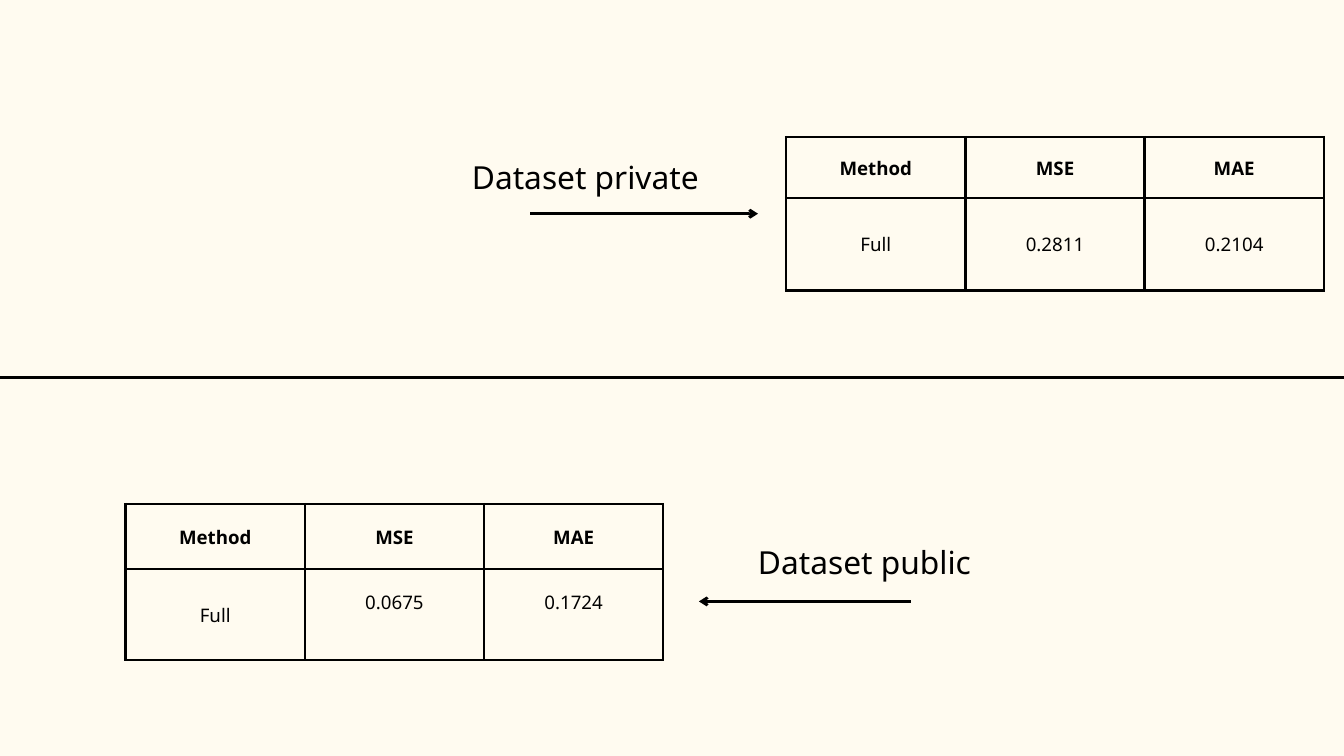
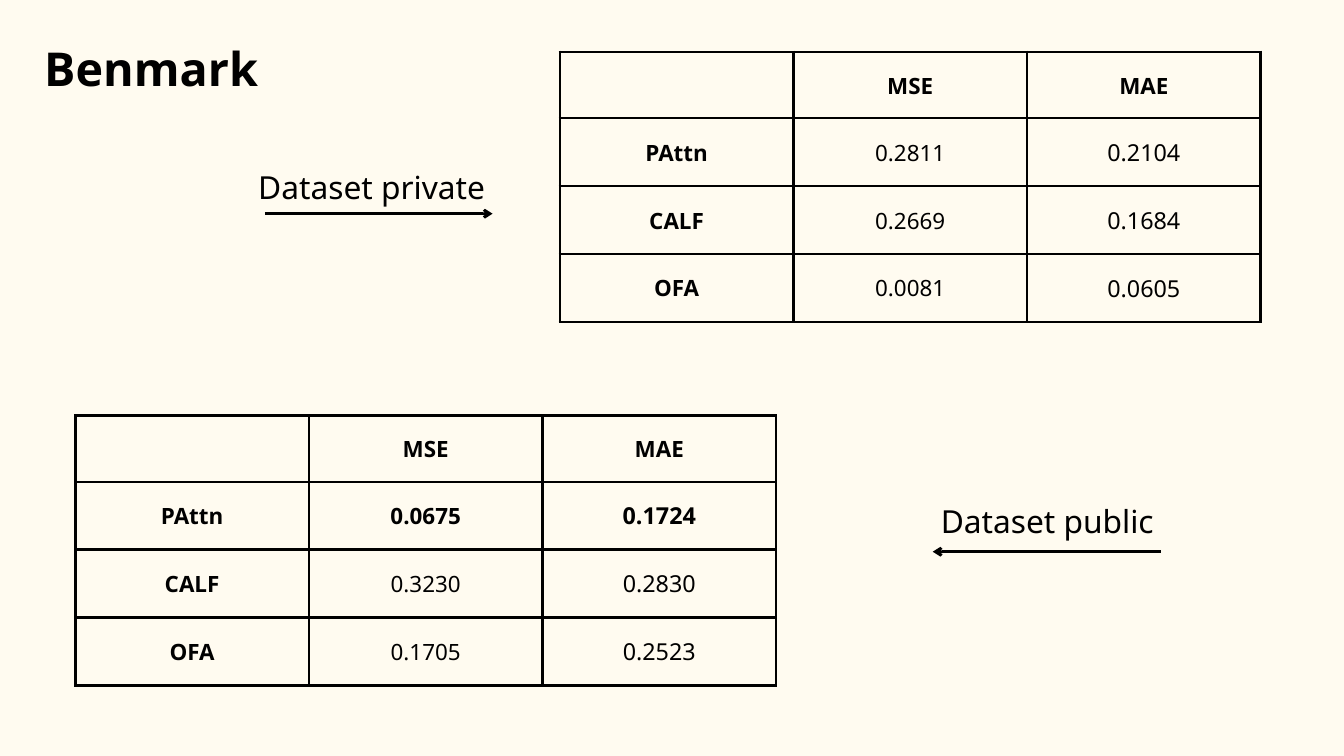
from dataclasses import dataclass

from pptx import Presentation
from pptx.dml.color import RGBColor
from pptx.enum.shapes import MSO_CONNECTOR
from pptx.enum.text import MSO_ANCHOR as Anchor, MSO_AUTO_SIZE as AutoSize, PP_ALIGN as Align
from pptx.oxml import parse_xml
from pptx.oxml.ns import nsdecls, qn
from pptx.oxml.xmlchemy import OxmlElement
from pptx.slide import Slide
from pptx.text.text import TextFrame
from pptx.util import Inches, Pt

FONT = "Noto Sans"
INK = "000000"
PAPER = "FFFBF0"
LINE_WIDTH = 3
CELL_MARGIN = 0.21
LEADING = {20: 28, 24: 33.6, 25: 34.4, 34: 47.6, 50: 70}


@dataclass(frozen=True)
class ResultTable:
    left: float
    top: float
    width: float
    row_heights: tuple[float, ...]
    rows: tuple[tuple[str, ...], ...]
    size: int
    last_column_size: int
    bold_rows: tuple[int, ...] = (0,)
    bold_first_column: bool = False
    value_lift: float = 0


@dataclass(frozen=True)
class Label:
    text: str
    left: float
    top: float
    width: float
    height: float = 0.63


@dataclass(frozen=True)
class Rule:
    start: float
    end: float
    y: float
    arrow_end: str = ""


def color(value: str) -> RGBColor:
    return RGBColor.from_string(value)


def write(frame: TextFrame, text: str, *, size: int, bold: bool = False) -> None:
    paragraph = frame.paragraphs[0]
    paragraph.alignment = Align.CENTER
    paragraph.line_spacing = Pt(LEADING[size])
    run = paragraph.add_run()
    run.text = text
    run.font.name = FONT
    run.font.size = Pt(size)
    run.font.bold = bold
    run.font.color.rgb = color(INK)


def prepare_frame(frame: TextFrame) -> None:
    frame.word_wrap = True
    frame.auto_size = AutoSize.NONE
    frame.vertical_anchor = Anchor.TOP
    frame.margin_left = frame.margin_right = frame.margin_top = frame.margin_bottom = 0


def border_cell(cell) -> None:
    properties = cell._tc.get_or_add_tcPr()
    for index, side in enumerate(("lnL", "lnR", "lnT", "lnB")):
        border = parse_xml(
            f'<a:{side} {nsdecls("a")} w="{Pt(LINE_WIDTH)}"><a:solidFill>'
            f'<a:srgbClr val="{INK}"/></a:solidFill></a:{side}>'
        )
        properties.insert(index, border)


def draw_table(slide: Slide, data: ResultTable) -> None:
    column_count = len(data.rows[0])
    table = slide.shapes.add_table(
        len(data.rows), column_count, Inches(data.left), Inches(data.top),
        Inches(data.width), Inches(sum(data.row_heights)),
    ).table
    table.first_row = table.horz_banding = False
    for column in table.columns:
        column.width = Inches(data.width / column_count)
    for row_index, (height, values) in enumerate(zip(data.row_heights, data.rows)):
        table.rows[row_index].height = Inches(height)
        for column_index, value in enumerate(values):
            cell = table.cell(row_index, column_index)
            is_value = row_index > 0 and column_index > 0
            cell.fill.background()
            border_cell(cell)
            cell.vertical_anchor = Anchor.MIDDLE
            cell.margin_left = cell.margin_right = cell.margin_top = Inches(CELL_MARGIN)
            cell.margin_bottom = Inches(CELL_MARGIN + (2 * data.value_lift if is_value else 0))
            if value:
                in_last = is_value and column_index == column_count - 1
                write(
                    cell.text_frame, value,
                    size=data.last_column_size if in_last else data.size,
                    bold=row_index in data.bold_rows or (data.bold_first_column and column_index == 0),
                )


def draw_label(slide: Slide, label: Label) -> None:
    box = slide.shapes.add_textbox(
        Inches(label.left), Inches(label.top), Inches(label.width), Inches(label.height)
    )
    prepare_frame(box.text_frame)
    write(box.text_frame, label.text, size=34)


def draw_rule(slide: Slide, rule: Rule) -> None:
    connector = slide.shapes.add_connector(
        MSO_CONNECTOR.STRAIGHT, Inches(rule.start), Inches(rule.y), Inches(rule.end), Inches(rule.y)
    )
    connector.line.color.rgb = color(INK)
    connector.line.width = Pt(LINE_WIDTH)
    properties = connector._element.spPr
    if rule.arrow_end:
        arrow = OxmlElement(f"a:{rule.arrow_end}")
        arrow.set("type", "arrow")
        properties.find(qn("a:ln")).append(arrow)
    properties.append(OxmlElement("a:effectLst"))


def draw_title(slide: Slide, text: str) -> None:
    title = slide.shapes.title
    title.left, title.top = Inches(0.57), Inches(0.45)
    title.width, title.height = Inches(3.36), Inches(1.91)
    prepare_frame(title.text_frame)
    write(title.text_frame, text, size=50, bold=True)


def full_table(left: float, top: float, heights: tuple[float, ...], mse: str, mae: str,
               value_lift: float = 0) -> ResultTable:
    rows = (("Method", "MSE", "MAE"), ("Full", mse, mae))
    return ResultTable(left, top, 8, heights, rows, 20, 20, value_lift=value_lift)


def benchmark_table(left: float, top: float, scores: tuple[tuple[str, str], ...],
                    bold_rows: tuple[int, ...] = (0,)) -> ResultTable:
    models = ("PAttn", "CALF", "OFA")
    rows = (("", "MSE", "MAE"), *((model, *score) for model, score in zip(models, scores)))
    return ResultTable(left, top, 10.43, (0.99, 1.01, 1.01, 1.01), rows, 24, 25, bold_rows, True)


FULL_RESULTS = (
    full_table(11.7, 2.04, (0.91, 1.37), "0.2811", "0.2104"),
    full_table(1.87, 7.5, (0.97, 1.35), "0.0675", "0.1724", value_lift=0.19),
    Label("Dataset public", 11.28, 7.98, 3.17, 1.29),
    Label("Dataset private", 7.02, 2.26, 3.38),
    Rule(0, 20, 5.62),
    Rule(6.45, 13.55, 5.62),
    Rule(7.89, 11.28, 3.18, "tailEnd"),
    Rule(10.4, 13.55, 8.95, "headEnd"),
)
BENCHMARK = (
    benchmark_table(8.33, 0.77, (("0.2811", "0.2104"), ("0.2669", "0.1684"), ("0.0081", "0.0605"))),
    benchmark_table(1.12, 6.18, (("0.0675", "0.1724"), ("0.3230", "0.2830"), ("0.1705", "0.2523")), (0, 1)),
    Rule(3.94, 7.33, 3.18, "tailEnd"),
    Rule(13.88, 17.28, 8.21, "headEnd"),
    Label("Dataset private", 3.84, 2.41, 3.38),
    Label("Dataset public", 14, 7.37, 3.17),
)
DRAWERS = {ResultTable: draw_table, Label: draw_label, Rule: draw_rule}


def main() -> None:
    """Build the two result slides and save them."""
    presentation = Presentation()
    presentation.slide_width, presentation.slide_height = Inches(20), Inches(11.25)
    background = presentation.slide_master.background.fill
    background.solid()
    background.fore_color.rgb = color(PAPER)
    title_only, blank = presentation.slide_layouts[5], presentation.slide_layouts[6]
    for layout, title, elements in ((blank, "", FULL_RESULTS), (title_only, "Benmark", BENCHMARK)):
        slide = presentation.slides.add_slide(layout)
        for element in elements:
            DRAWERS[type(element)](slide, element)
        if title:
            draw_title(slide, title)
    presentation.save("out.pptx")


if __name__ == "__main__":
    main()
